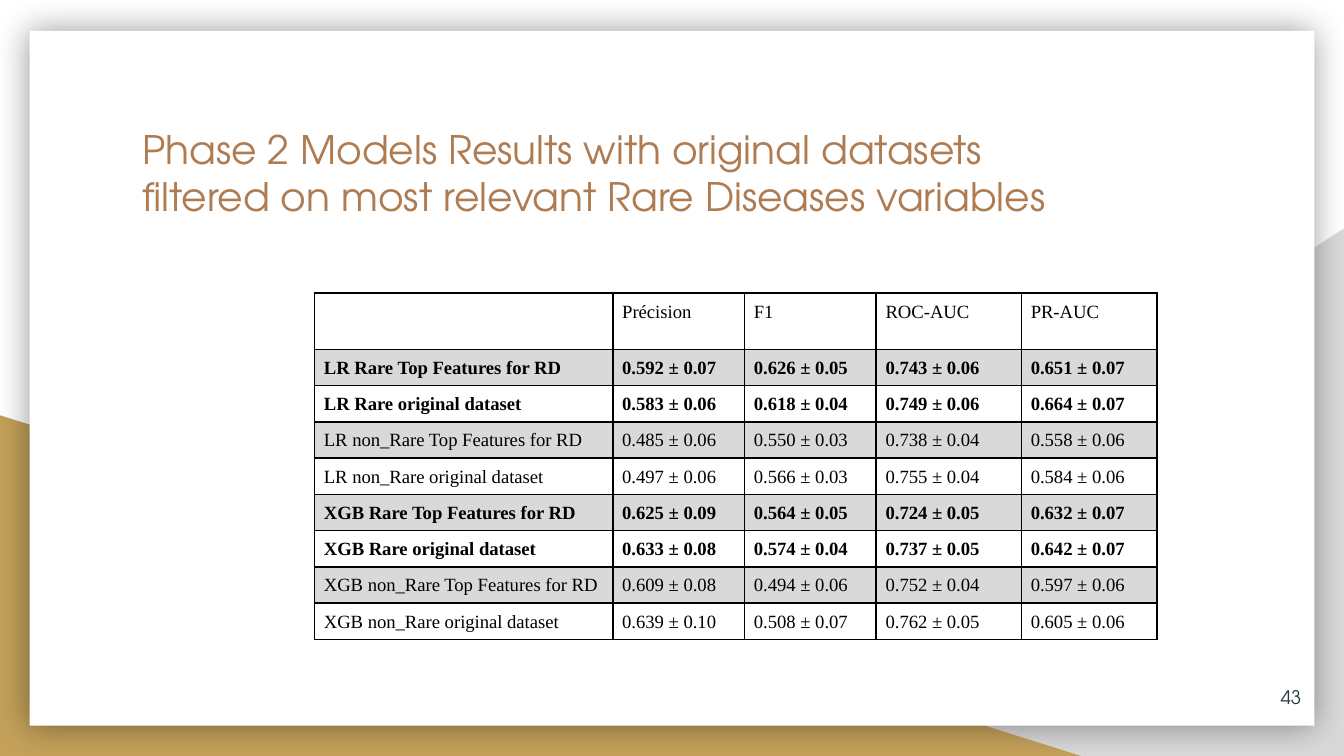
from dataclasses import dataclass

from pptx import Presentation
from pptx.dml.color import RGBColor
from pptx.enum.shapes import MSO_SHAPE as SHAPE
from pptx.enum.text import MSO_ANCHOR as ANCHOR, MSO_AUTO_SIZE as AUTO, PP_ALIGN as ALIGN
from pptx.oxml import parse_xml
from pptx.oxml.ns import nsdecls, qn
from pptx.util import Inches, Pt


@dataclass(frozen=True)
class Theme:
    white: str = "FFFFFF"
    black: str = "000000"
    grey: str = "D9D9D9"
    gold: str = "C4A15A"
    title: str = "AF7B51"
    number: str = "233A44"
    sans: str = "TeX Gyre Adventor"
    serif: str = "Times New Roman"
    title_size: int = 21
    body_size: int = 10


T = Theme()


def add_run(p, text, font, size, color, bold=False):
    r = p.add_run()
    r.text = text
    r.font.name = font
    r.font.size = Pt(size)
    r.font.bold = bold
    r.font.color.rgb = RGBColor.from_string(color)


def add_panel(s, kind, box, color):
    sp = s.shapes.add_shape(kind, *map(Inches, box))
    sp.shadow.inherit = False
    sp.fill.solid()
    sp.fill.fore_color.rgb = RGBColor.from_string(color)
    sp.line.fill.background()
    return sp


prs = Presentation()
prs.slide_width, prs.slide_height = Inches(10), Inches(10 * 9 / 16)
s = prs.slides.add_slide(prs.slide_layouts[5])
s.background.fill.solid()
s.background.fill.fore_color.rgb = RGBColor.from_string(T.white)

grey_corner = add_panel(s, SHAPE.RIGHT_TRIANGLE, (3.92, 1.7, 6.08, 3.93), T.grey)
grey_corner.element.spPr.find(qn("a:xfrm")).set("flipH", "1")
add_panel(s, SHAPE.RIGHT_TRIANGLE, (0, 3.09, 8.06, 2.54), T.gold)
card = add_panel(s, SHAPE.RECTANGLE, (0.22, 0.23, 9.56, 5.17), T.white)
card.element.spPr.find(qn("a:effectLst")).append(parse_xml(
    f'<a:outerShdw {nsdecls("a")} blurRad="{Pt(18)}" dist="0" dir="0" rotWithShape="0">'
    f'<a:srgbClr val="{T.black}"><a:alpha val="40000"/></a:srgbClr></a:outerShdw>'))

title = s.shapes.title
s.shapes.element.append(title.element)
title.left, title.top, title.width, title.height = map(Inches, (0.96, 0.83, 7.03, 0.77))
number = s.shapes.add_textbox(*map(Inches, (9.18, 4.97, 0.6, 0.43)))
for sp, text, anchor, align, size, color in (
    (title, "Phase 2 Models Results with original datasets filtered on most relevant Rare Diseases variables",
     ANCHOR.TOP, ALIGN.LEFT, T.title_size, T.title),
    (number, "43", ANCHOR.MIDDLE, ALIGN.RIGHT, T.body_size, T.number),
):
    tf = sp.text_frame
    tf.word_wrap = True
    tf.auto_size = AUTO.NONE
    tf.vertical_anchor = anchor
    tf.margin_left = tf.margin_right = tf.margin_top = tf.margin_bottom = Inches(0.1)
    p = tf.paragraphs[0]
    p.alignment = align
    add_run(p, text, T.sans, size, color)

rows = [
    ("", "Précision", "F1", "ROC-AUC", "PR-AUC"),
    ("LR Rare Top Features for RD", "0.592 ± 0.07", "0.626 ± 0.05", "0.743 ± 0.06", "0.651 ± 0.07"),
    ("LR Rare original dataset", "0.583 ± 0.06", "0.618 ± 0.04", "0.749 ± 0.06", "0.664 ± 0.07"),
    ("LR non_Rare Top Features for RD", "0.485 ± 0.06", "0.550 ± 0.03", "0.738 ± 0.04", "0.558 ± 0.06"),
    ("LR non_Rare original dataset", "0.497 ± 0.06", "0.566 ± 0.03", "0.755 ± 0.04", "0.584 ± 0.06"),
    ("XGB Rare Top Features for RD", "0.625 ± 0.09", "0.564 ± 0.05", "0.724 ± 0.05", "0.632 ± 0.07"),
    ("XGB Rare original dataset", "0.633 ± 0.08", "0.574 ± 0.04", "0.737 ± 0.05", "0.642 ± 0.07"),
    ("XGB non_Rare Top Features for RD", "0.609 ± 0.08", "0.494 ± 0.06", "0.752 ± 0.04", "0.597 ± 0.06"),
    ("XGB non_Rare original dataset", "0.639 ± 0.10", "0.508 ± 0.07", "0.762 ± 0.05", "0.605 ± 0.06"),
]
widths = (2.22, 0.98, 0.98, 1.08, 1.01)
header_height, row_height = 0.42, 0.27
table = s.shapes.add_table(
    len(rows), len(widths), Inches(2.34), Inches(2.18), Inches(sum(widths)),
    Inches(header_height + row_height * (len(rows) - 1))).table
for column, width in zip(table.columns, widths):
    column.width = Inches(width)

for i, values in enumerate(rows):
    header = i == 0
    table.rows[i].height = Inches(header_height if header else row_height)
    bold = " Rare " in values[0]
    for j, value in enumerate(values):
        cell = table.cell(i, j)
        cell.margin_left = cell.margin_right = Inches(0.07)
        cell.margin_top = cell.margin_bottom = Inches(0.07 if header else 0.04)
        tc_pr = cell._tc.get_or_add_tcPr()
        for side in ("lnL", "lnR", "lnT", "lnB"):
            tc_pr.append(parse_xml(
                f'<a:{side} {nsdecls("a")} w="{Pt(1)}"><a:solidFill>'
                f'<a:srgbClr val="{T.black}"/></a:solidFill></a:{side}>'))
        cell.fill.solid()
        cell.fill.fore_color.rgb = RGBColor.from_string(T.grey if i % 2 else T.white)
        p = cell.text_frame.paragraphs[0]
        p.alignment = ALIGN.JUSTIFY
        if not header:
            p.line_spacing = 1.15
        if value:
            add_run(p, value, T.serif, T.body_size, T.black, bold)
        else:
            p.font.size = Pt(T.body_size)

prs.save("out.pptx")
